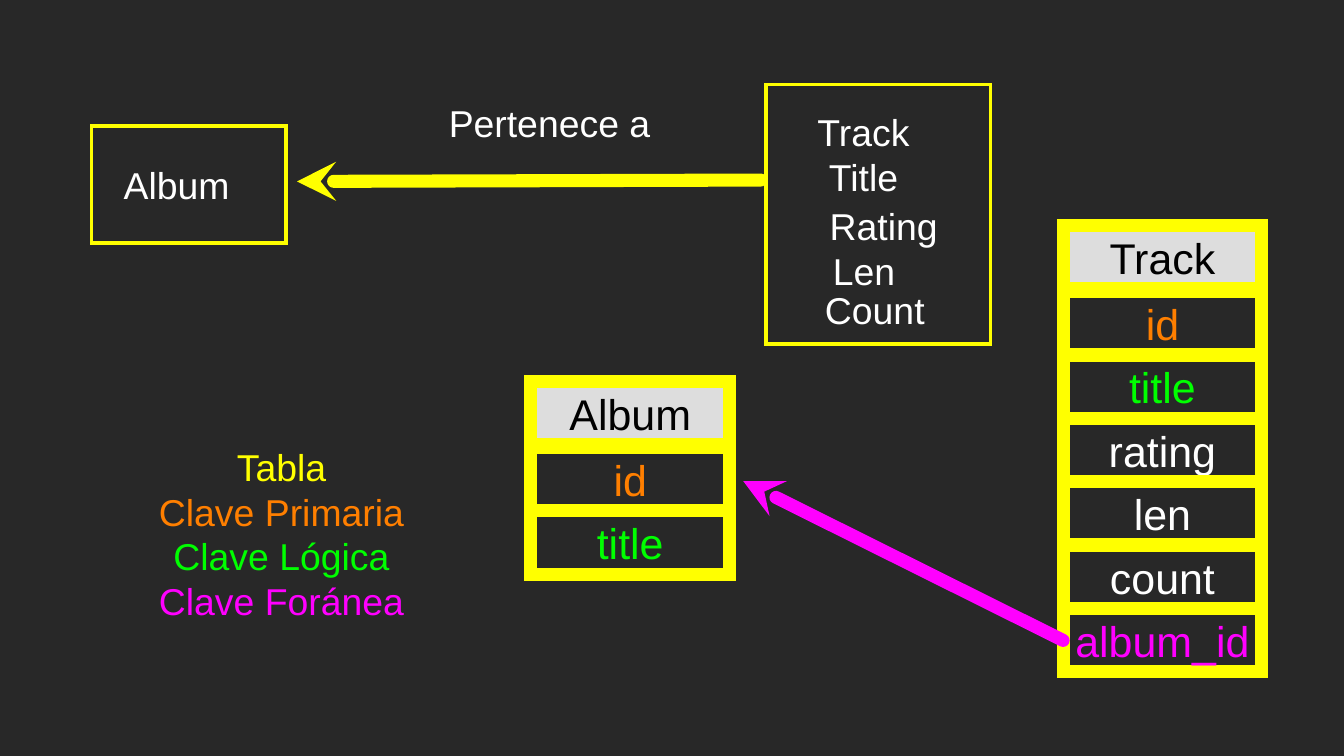
from dataclasses import dataclass

from lxml import etree
from pptx import Presentation
from pptx.dml.color import RGBColor
from pptx.enum.shapes import MSO_CONNECTOR, MSO_SHAPE
from pptx.enum.text import MSO_ANCHOR, PP_ALIGN
from pptx.oxml.ns import qn
from pptx.util import Inches, Pt

RECTANGLE = MSO_SHAPE.RECTANGLE
STRAIGHT = MSO_CONNECTOR.STRAIGHT
MIDDLE = MSO_ANCHOR.MIDDLE
CENTER = PP_ALIGN.CENTER
LEFT_SIDE = 1

DARK = RGBColor(0x28, 0x28, 0x28)
GREY = RGBColor(0xDD, 0xDD, 0xDD)
BLACK = RGBColor(0x00, 0x00, 0x00)
WHITE = RGBColor(0xFF, 0xFF, 0xFF)
YELLOW = RGBColor(0xFF, 0xFF, 0x00)
ORANGE = RGBColor(0xFF, 0x7F, 0x00)
GREEN = RGBColor(0x00, 0xFF, 0x00)
MAGENTA = RGBColor(0xFF, 0x00, 0xFF)

FONT = "Arial"
LABEL_SIZE, ROW_SIZE = 20, 23
THIN, THICK = 2, 7
SLIDE_WIDTH = 10
SLIDE_HEIGHT = SLIDE_WIDTH * 9 / 16
LABEL_HEIGHT = 0.38
ROW_WIDTH, ROW_HEIGHT = 1.48, 0.47
HEADER_PITCH = 0.49
ROW_PITCH = 2.36 / 5


@dataclass(frozen=True)
class Line:
    text: str
    color: RGBColor = WHITE


@dataclass(frozen=True)
class Label:
    text: str
    left: float
    top: float
    width: float


@dataclass(frozen=True)
class Table:
    name: str
    left: float
    top: float
    columns: tuple[Line, ...]


ENTITY_BOXES = ((0.68, 0.94, 1.45, 0.87), (5.7, 0.63, 1.67, 1.93))

LABELS = (
    Label("Album", 0.83, 1.18, 0.97),
    Label("Pertenece a", 3.31, 0.72, 1.56),
    Label("Track", 6.0, 0.79, 0.85),
    Label("Title", 6.05, 1.12, 0.75),
    Label("Rating", 6.08, 1.49, 0.99),
    Label("Len", 6.11, 1.82, 0.64),
    Label("Count", 6.11, 2.11, 0.8),
)

LEGEND = (
    Line("Tabla", YELLOW),
    Line("Clave Primaria", ORANGE),
    Line("Clave Lógica", GREEN),
    Line("Clave Foránea", MAGENTA),
)

KEYS = (Line("id", ORANGE), Line("title", GREEN))
ALBUM = Table("Album", 3.95, 2.84, KEYS)
TRACK = Table(
    "Track", 7.91, 1.68,
    KEYS + (Line("rating"), Line("len"), Line("count"),
            Line("album_id", MAGENTA)),
)


def write_lines(sp, lines: tuple[Line, ...], size: int) -> None:
    tf = sp.text_frame
    tf.word_wrap = True
    tf.vertical_anchor = MIDDLE
    tf.margin_left = tf.margin_top = tf.margin_right = tf.margin_bottom = 0
    tf.text = "\n".join(line.text for line in lines)
    for p, line in zip(tf.paragraphs, lines):
        p.alignment = CENTER
        font = p.runs[0].font
        font.name = FONT
        font.size = Pt(size)
        font.color.rgb = line.color


def add_text(s, left: float, top: float, width: float, height: float,
             lines: tuple[Line, ...]) -> None:
    sp = s.shapes.add_textbox(Inches(left), Inches(top),
                              Inches(width), Inches(height))
    write_lines(sp, lines, LABEL_SIZE)


def add_box(s, left: float, top: float, width: float, height: float,
            line_width: int, fill: RGBColor | None = None):
    sp = s.shapes.add_shape(RECTANGLE, Inches(left), Inches(top),
                            Inches(width), Inches(height))
    sp.shadow.inherit = False
    if fill is None:
        sp.fill.background()
    else:
        sp.fill.solid()
        sp.fill.fore_color.rgb = fill
    sp.line.color.rgb = YELLOW
    sp.line.width = Pt(line_width)
    etree.SubElement(sp.line._get_or_add_ln(), qn("a:miter"), lim="800000")
    return sp


def add_table_rows(s, table: Table) -> list:
    """Stack a grey header and one framed row per column; return the rows."""
    header = add_box(s, table.left, table.top, ROW_WIDTH, ROW_HEIGHT,
                     THICK, GREY)
    write_lines(header, (Line(table.name, BLACK),), ROW_SIZE)
    rows = []
    for i, column in enumerate(table.columns):
        top = table.top + HEADER_PITCH + i * ROW_PITCH
        row = add_box(s, table.left, top, ROW_WIDTH, ROW_HEIGHT, THICK)
        write_lines(row, (column,), ROW_SIZE)
        rows.append(row)
    return rows


def add_arrow(s, tip: tuple[float, float], tail: tuple[float, float],
              color: RGBColor):
    """Draw a round-capped line with a stealth head at its beginning."""
    arrow = s.shapes.add_connector(STRAIGHT, *map(Inches, tip + tail))
    arrow.line.color.rgb = color
    arrow.line.width = Pt(THICK)
    ln = arrow.line._get_or_add_ln()
    ln.set("cap", "rnd")
    etree.SubElement(ln, qn("a:round"))
    etree.SubElement(ln, qn("a:headEnd"), type="stealth")
    etree.SubElement(arrow._element.spPr, qn("a:effectLst"))
    return arrow


def main() -> None:
    prs = Presentation()
    prs.slide_width = Inches(SLIDE_WIDTH)
    prs.slide_height = Inches(SLIDE_HEIGHT)
    s = prs.slides.add_slide(prs.slide_layouts[6])
    s.background.fill.solid()
    s.background.fill.fore_color.rgb = DARK

    for box in ENTITY_BOXES:
        add_box(s, *box, THIN)
    add_arrow(s, (2.21, 1.35), (5.66, 1.34), YELLOW)
    for label in LABELS:
        add_text(s, label.left, label.top, label.width, LABEL_HEIGHT,
                 (Line(label.text),))

    add_table_rows(s, ALBUM)
    foreign_key = add_table_rows(s, TRACK)[-1]
    reference = add_arrow(s, (5.53, 3.58), (7.91, 4.77), MAGENTA)
    reference.end_connect(foreign_key, LEFT_SIDE)

    add_text(s, 1.12, 3.3, 1.95, 1.34, LEGEND)
    prs.save("out.pptx")


if __name__ == "__main__":
    main()
